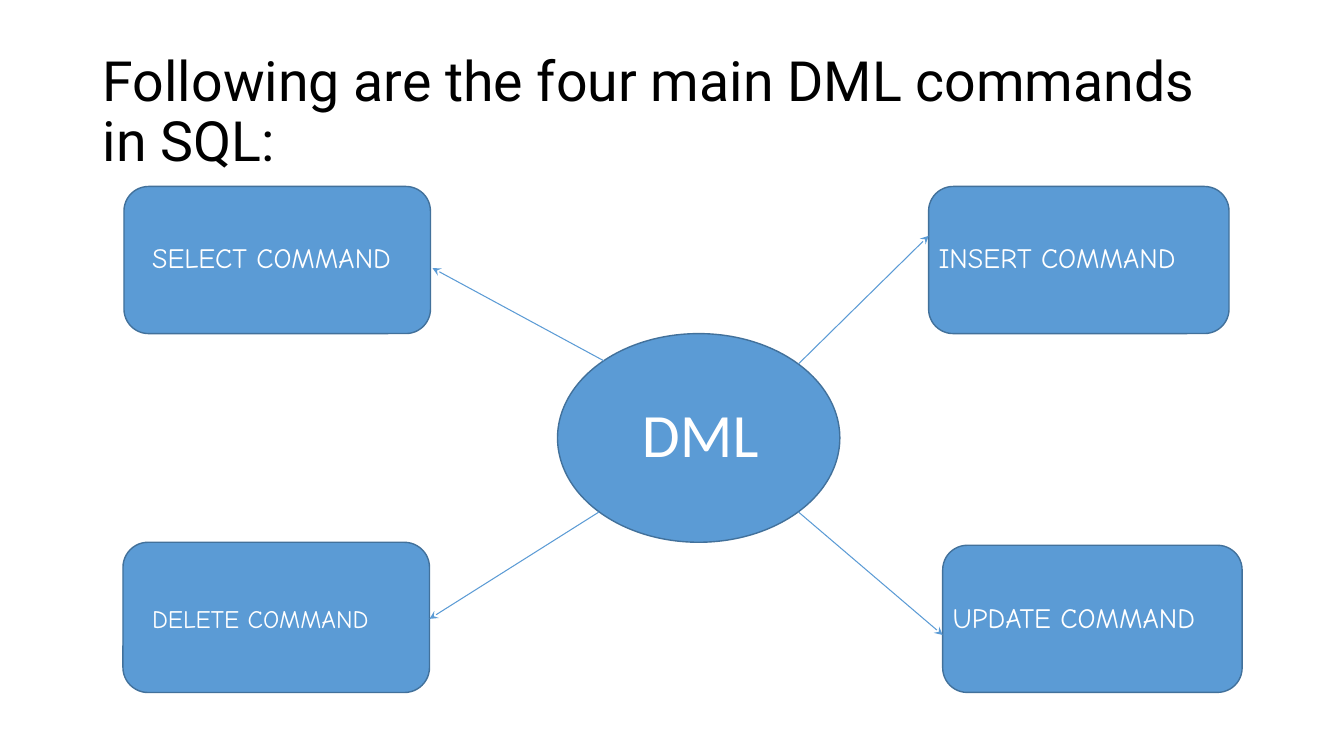
from lxml import etree
from pptx import Presentation
from pptx import util as u
from pptx.dml.color import RGBColor
from pptx.enum import shapes, text
from pptx.oxml.ns import qn

PX = 9144
BLUE, OUTLINE, WHITE, BLACK = "5B9BD5", "42719B", "FFFFFF", "000000"
COMMANDS = [
    ("SELECT COMMAND", (123, 185, 304, 146), (18, 49, 288, 44), 20, (599, 358), (306, 81)),
    ("INSERT COMMAND", (921, 185, 298, 146), (0, 49, 298, 44), 20, (792, 361), (0, 49)),
    ("DELETE COMMAND", (122, 538, 304, 149), (19, 56, 259, 40), 18, (594, 508), (304, 76)),
    ("UPDATE COMMAND", (935, 541, 297, 146), (0, 50, 307, 44), 20, (792, 508), (0, 89)),
]


def px(*lengths):
    """Turn px lengths into EMU."""
    return [u.Emu(length * PX) for length in lengths]


def color(hex_string):
    """Turn a hex string into a colour."""
    return RGBColor.from_string(hex_string)


def style_text(frame, wording, size, font, hex_string, align):
    """Write one paragraph in the given style."""
    frame.text = wording
    frame.word_wrap = True
    para = frame.paragraphs[0]
    para.alignment = align
    span = para.runs[0]
    span.font.size = u.Pt(size)
    span.font.name = font
    span.font.color.rgb = color(hex_string)


def add_title(page, box, wording):
    """Fill the title placeholder."""
    title = page.shapes.title
    title.left, title.top, title.width, title.height = px(*box)
    style_text(title.text_frame, wording, 39.6, "Roboto", BLACK, text.PP_ALIGN.LEFT)
    title.text_frame.auto_size = text.MSO_AUTO_SIZE.NONE
    title.text_frame.vertical_anchor = text.MSO_ANCHOR.MIDDLE
    title.text_frame.paragraphs[0].line_spacing = 0.9


def add_node(page, kind, box, label_box, wording, size, font, align):
    """Draw a filled shape with a label placed relative to its box."""
    node = page.shapes.add_shape(kind, *px(*box))
    node.shadow.inherit = False
    node.fill.solid()
    node.fill.fore_color.rgb = color(BLUE)
    node.line.color.rgb = color(OUTLINE)
    node.line.width = u.Pt(1)
    left, top, width, height = label_box
    label = page.shapes.add_textbox(*px(box[0] + left, box[1] + top, width, height))
    style_text(label.text_frame, wording, size, font, WHITE, align)


def add_arrow(page, start, end):
    """Draw a thin line with a stealth head at its end."""
    arrow = page.shapes.add_connector(shapes.MSO_CONNECTOR.STRAIGHT, *px(*start, *end))
    arrow.line.color.rgb = color(BLUE)
    arrow.line.width = u.Pt(0.75)
    etree.SubElement(arrow.line._get_or_add_ln(), qn("a:tailEnd"), type="stealth")
    etree.SubElement(arrow._element.spPr, qn("a:effectLst"))


def add_command(page, wording, box, label_box, size, start, tip):
    """Draw a command box and the arrow that reaches it."""
    add_node(page, shapes.MSO_SHAPE.ROUNDED_RECTANGLE, box, label_box,
             wording, size, "Comic Neue", text.PP_ALIGN.LEFT)
    add_arrow(page, start, (box[0] + tip[0], box[1] + tip[1]))


def main():
    """Build the DML commands slide."""
    deck = Presentation()
    deck.slide_width, deck.slide_height = px(1333, 750)
    page = deck.slides.add_slide(deck.slide_layouts[5])
    add_title(page, (92, 40, 1150, 145), "Following are the four main DML commands in SQL:")
    add_node(page, shapes.MSO_SHAPE.OVAL, (553, 331, 280, 207), (21, 57, 241, 84),
             "DML", 44, "Calibri", text.PP_ALIGN.CENTER)
    for command in COMMANDS:
        add_command(page, *command)
    deck.save("out.pptx")


if __name__ == "__main__":
    main()
